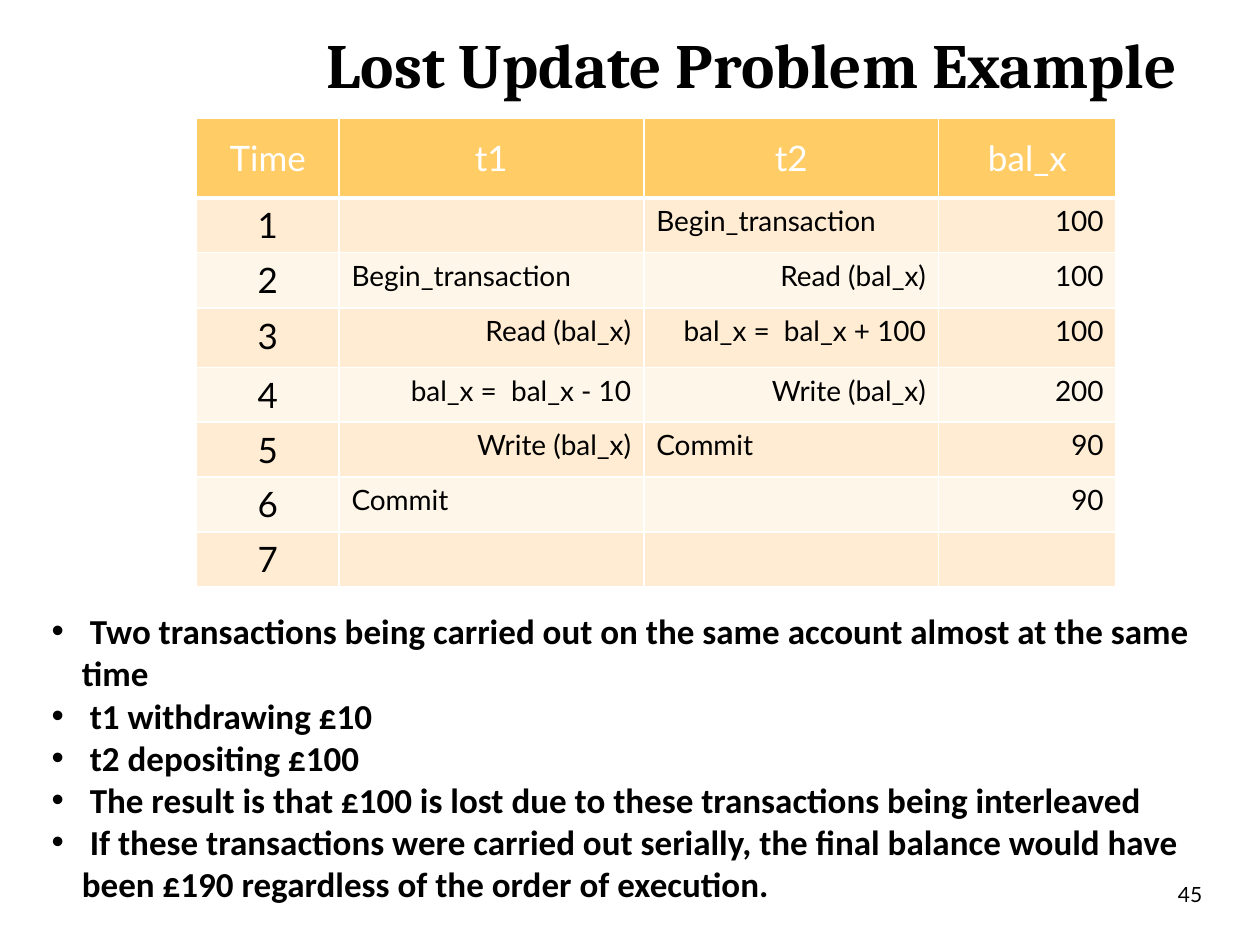
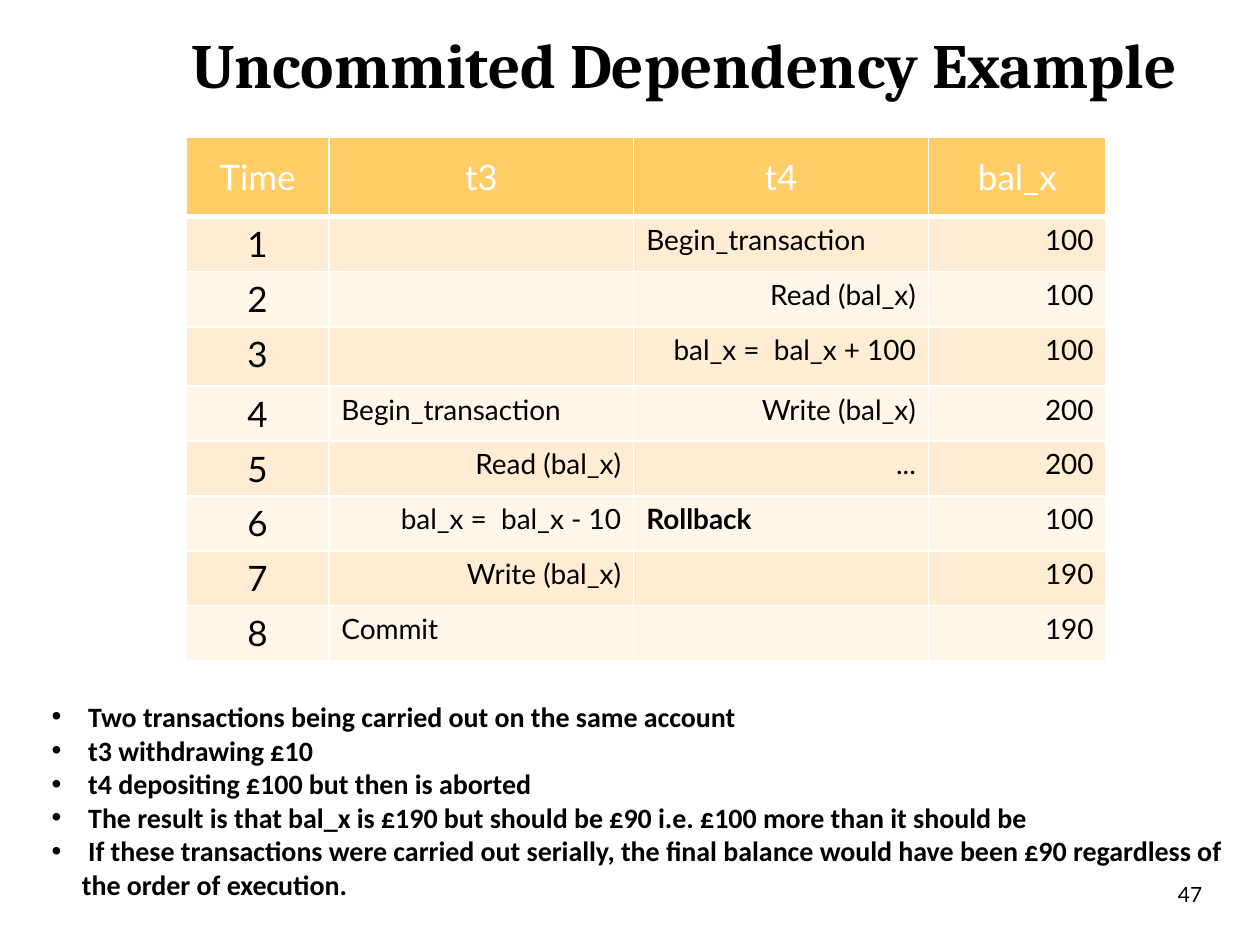
from lxml import etree
from pptx import Presentation
from pptx.dml.color import RGBColor
from pptx.enum.text import MSO_ANCHOR, MSO_AUTO_SIZE, PP_ALIGN
from pptx.oxml.ns import qn
from pptx.util import Inches, Pt

LEFT, CENTER, RIGHT = PP_ALIGN.LEFT, PP_ALIGN.CENTER, PP_ALIGN.RIGHT
TOP, MIDDLE = MSO_ANCHOR.TOP, MSO_ANCHOR.MIDDLE
NO_FIT = MSO_AUTO_SIZE.NONE

BLACK = RGBColor(0x00, 0x00, 0x00)
WHITE = RGBColor(0xFF, 0xFF, 0xFF)
GOLD = RGBColor(0xFF, 0xCC, 0x66)
BANDS = [RGBColor(0xFF, 0xEC, 0xD3), RGBColor(0xFF, 0xF6, 0xEA)]

# Shared formats
TITLE_FONT = {"name": "Cambria", "size": Pt(36), "bold": True}
LIST_FONT = {"name": "Calibri", "bold": True}
NUMBER_FONT = {"name": "Lato", "size": Pt(12)}
LARGE_CELL_FONT = {"name": "Lato", "size": Pt(20)}
SMALL_CELL_FONT = {"name": "Lato", "size": Pt(16)}

# Shared geometry, in inches
TITLE_RIGHT, TITLE_TOP, TITLE_HEIGHT = 9.44, 0.13, 0.75
NUMBER_BOX = (9.25, 6.95, 0.47, 0.3)
LIST_LEFT, LIST_WIDTH, LIST_HEIGHT = 0.31, 9.53, 2.03
HANGING_INDENT = 0.24
COLUMN_WIDTHS = [1.13, 2.42, 2.34, 1.41]
HEADER_HEIGHT, ROW_HEIGHT = 0.63, 0.43
SPECIAL_HEIGHTS = {2: 0.44, 3: 0.47}

# Statements that open or close a transaction stand at the left of a cell
BOUNDARIES = {"Begin_transaction", "Commit", "Rollback"}
EMPHASISED = {"Rollback"}

# Content: each step is (first transaction, second transaction, balance)
SLIDES = [
    {
        "title": "Lost Update Problem Example", "title_width": 7.67,
        "number": "45",
        "table_at": (1.56, 0.94),
        "transactions": ("t1", "t2"),
        "steps": [
            ("", "Begin_transaction", "100"),
            ("Begin_transaction", "Read (bal_x)", "100"),
            ("Read (bal_x)", "bal_x =  bal_x + 100", "100"),
            ("bal_x =  bal_x - 10", "Write (bal_x)", "200"),
            ("Write (bal_x)", "Commit", "90"),
            ("Commit", "", "90"),
            ("", "", ""),
        ],
        "list_top": 5.16, "list_size": 20,
        "points": [
            "Two transactions being carried out on the same account almost at the same time",
            "t1 withdrawing £10",
            "t2 depositing £100",
            "The result is that £100 is lost due to these transactions being interleaved",
            "If these transactions were carried out serially, the final balance would have "
            "been £190 regardless of the order of execution.",
        ],
    },
    {
        "title": "Uncommited Dependency Example", "title_width": 8.61,
        "number": "47",
        "table_at": (1.48, 1.09),
        "transactions": ("t3", "t4"),
        "steps": [
            ("", "Begin_transaction", "100"),
            ("", "Read (bal_x)", "100"),
            ("", "bal_x =  bal_x + 100", "100"),
            ("Begin_transaction", "Write (bal_x)", "200"),
            ("Read (bal_x)", "...", "200"),
            ("bal_x =  bal_x - 10", "Rollback", "100"),
            ("Write (bal_x)", "", "190"),
            ("Commit", "", "190"),
        ],
        "list_top": 5.47, "list_size": 16,
        "points": [
            "Two transactions being carried out on the same account",
            "t3 withdrawing £10",
            "t4 depositing £100 but then is aborted",
            "The result is that bal_x is £190 but should be £90 i.e. £100 more than it should be",
            "If these transactions were carried out serially, the final balance would have "
            "been £90 regardless of the order of execution.",
        ],
    },
]


def write(para, text, font, align=LEFT, color=BLACK, **extra):
    """Fill a paragraph with one formatted run."""
    para.alignment = align
    span = para.add_run()
    span.text = text
    span.font.color.rgb = color
    for name, value in {**font, **extra}.items():
        setattr(span.font, name, value)


def place(box, left, top, width, height):
    box.left, box.top = Inches(left), Inches(top)
    box.width, box.height = Inches(width), Inches(height)


def prepare_frame(box, anchor):
    frame = box.text_frame
    frame.word_wrap = True
    frame.auto_size = NO_FIT
    frame.vertical_anchor = anchor
    return frame


def add_borders(cell, is_header):
    """White cell lines, heavier under the header row."""
    properties = cell._tc.get_or_add_tcPr()
    for side in ("lnL", "lnR", "lnT", "lnB"):
        points = 3 if is_header and side == "lnB" else 1
        line = etree.SubElement(properties, qn(f"a:{side}"), w=str(Pt(points)))
        fill = etree.SubElement(line, qn("a:solidFill"))
        etree.SubElement(fill, qn("a:srgbClr"), val=str(WHITE))


def add_title(page, content):
    box = page.shapes.title
    width = content["title_width"]
    place(box, TITLE_RIGHT - width, TITLE_TOP, width, TITLE_HEIGHT)
    frame = prepare_frame(box, MIDDLE)
    write(frame.paragraphs[0], content["title"], TITLE_FONT, RIGHT)


def add_schedule(page, content):
    """Table of the two interleaved transactions over time."""
    rows = [("Time", *content["transactions"], "bal_x")]
    rows += [(str(time), *step) for time, step in enumerate(content["steps"], 1)]
    heights = [HEADER_HEIGHT] + [SPECIAL_HEIGHTS.get(time, ROW_HEIGHT)
                                 for time in range(1, len(rows))]
    left, top = content["table_at"]
    table = page.shapes.add_table(
        len(rows), len(COLUMN_WIDTHS), Inches(left), Inches(top),
        Inches(sum(COLUMN_WIDTHS)), Inches(sum(heights))).table
    for column, width in zip(table.columns, COLUMN_WIDTHS):
        column.width = Inches(width)

    for r, (texts, height) in enumerate(zip(rows, heights)):
        table.rows[r].height = Inches(height)
        is_header = r == 0
        for c, text in enumerate(texts):
            cell = table.cell(r, c)
            add_borders(cell, is_header)
            cell.fill.solid()
            cell.fill.fore_color.rgb = GOLD if is_header else BANDS[(r - 1) % 2]
            cell.vertical_anchor = MIDDLE if is_header else TOP
            if not text:
                continue
            para = cell.text_frame.paragraphs[0]
            if is_header or c == 0:
                write(para, text, LARGE_CELL_FONT, CENTER,
                      WHITE if is_header else BLACK)
            else:
                write(para, text, SMALL_CELL_FONT,
                      LEFT if text in BOUNDARIES else RIGHT,
                      bold=True if text in EMPHASISED else None)


def add_points(page, content):
    """Bulleted list, centred above one spare line."""
    box = page.placeholders[1]
    size = content["list_size"]
    place(box, LIST_LEFT, content["list_top"], LIST_WIDTH, LIST_HEIGHT)
    frame = prepare_frame(box, MIDDLE)
    frame.margin_bottom = Inches(0.05) + Pt(1.2 * size)
    for i, text in enumerate(content["points"]):
        para = frame.add_paragraph() if i else frame.paragraphs[0]
        para.space_before = Pt(0)
        write(para, " " + text, LIST_FONT, size=Pt(size))
        properties = para._p.get_or_add_pPr()
        properties.set("marL", str(Inches(HANGING_INDENT)))
        properties.set("indent", str(-Inches(HANGING_INDENT)))
        etree.SubElement(properties, qn("a:buFont"), typeface="Arial")
        etree.SubElement(properties, qn("a:buChar"), char="•")


def add_number(page, content):
    box = page.shapes.add_textbox(*map(Inches, NUMBER_BOX))
    frame = prepare_frame(box, TOP)
    write(frame.paragraphs[0], content["number"], NUMBER_FONT)


deck = Presentation()
deck.slide_width, deck.slide_height = Inches(10), Inches(7.5)
layout = deck.slide_layouts[1]
for content in SLIDES:
    page = deck.slides.add_slide(layout)
    for add_part in (add_title, add_schedule, add_points, add_number):
        add_part(page, content)
deck.save("out.pptx")
